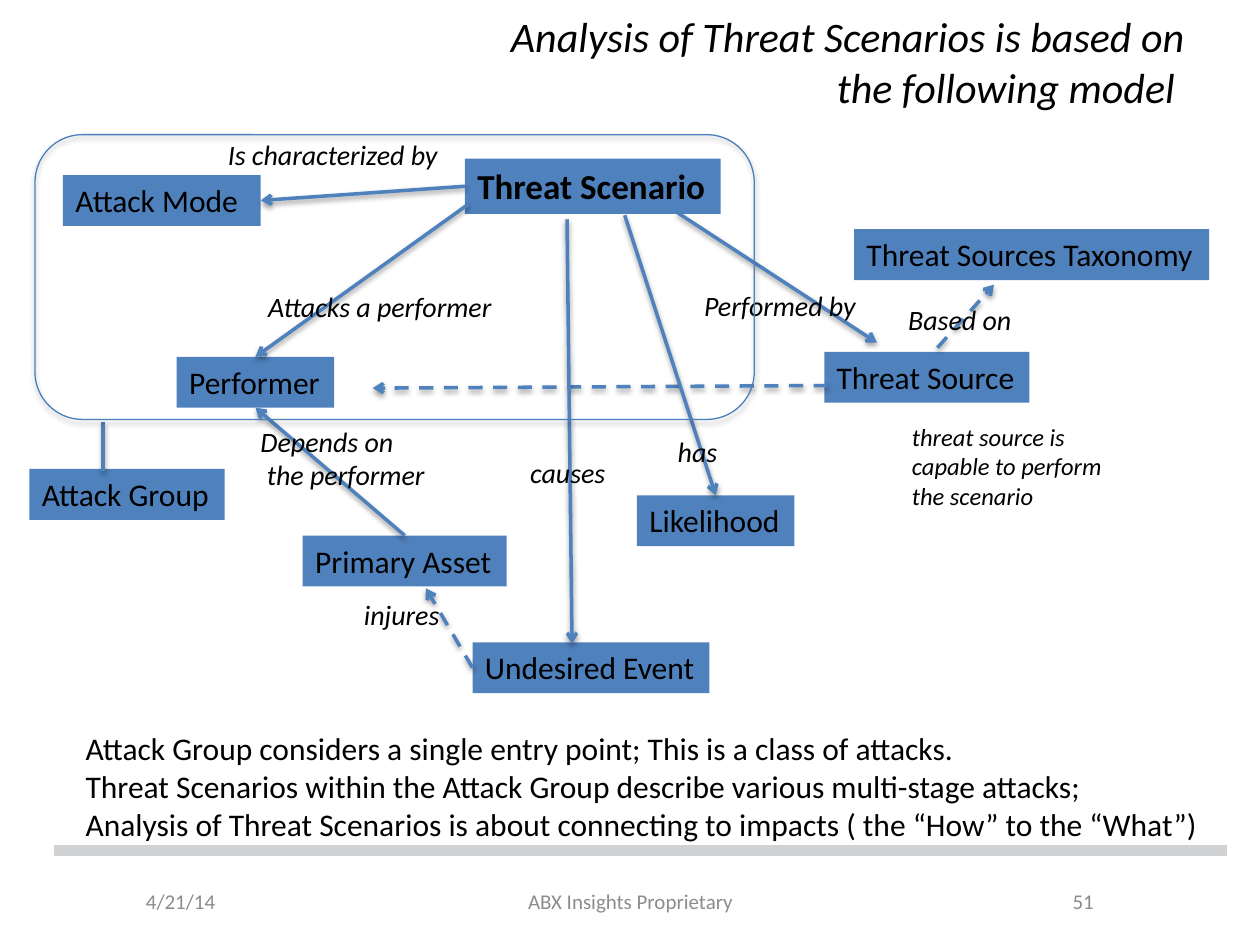
from pptx import Presentation
from pptx.dml.color import RGBColor
from pptx.enum.dml import MSO_LINE
from pptx.enum.shapes import MSO_CONNECTOR, MSO_SHAPE
from pptx.enum.text import MSO_ANCHOR, MSO_AUTO_SIZE, PP_ALIGN
from pptx.oxml.xmlchemy import OxmlElement
from pptx.util import Pt

LEFT, CENTER, RIGHT = PP_ALIGN.LEFT, PP_ALIGN.CENTER, PP_ALIGN.RIGHT
TOP, MIDDLE = MSO_ANCHOR.TOP, MSO_ANCHOR.MIDDLE
STRAIGHT, DASH = MSO_CONNECTOR.STRAIGHT, MSO_LINE.DASH
FONT = "Calibri"
COLORS = {name: RGBColor.from_string(value) for name, value in {
    "text": "000000", "footer": "8C8C8C", "rule": "D1D2D3",
    "blue": "4F81BD", "outline": "4B7EBC",
}.items()}


def write(shape, text, size=18, color="text", bold=False, italic=False,
          align=LEFT, anchor=TOP, wrap=False, fit=True):
    """Fill the shape with one paragraph per line of text."""
    frame = shape.text_frame
    frame.text = text
    frame.word_wrap = wrap
    frame.auto_size = MSO_AUTO_SIZE.SHAPE_TO_FIT_TEXT if fit else MSO_AUTO_SIZE.NONE
    frame.vertical_anchor = anchor
    for paragraph in frame.paragraphs:
        paragraph.alignment = align
        for span in paragraph.runs:
            span.font.name = FONT
            span.font.size = Pt(size)
            span.font.bold = bold
            span.font.italic = italic
            span.font.color.rgb = COLORS[color]


def set_shadow(shape, opacity=0, distance=1.6):
    """Replace the theme shadow by a downward one, or by none."""
    effects = OxmlElement("a:effectLst")
    if opacity:
        shadow = OxmlElement("a:outerShdw")
        shadow.set("blurRad", str(Pt(3.1)))
        shadow.set("dist", str(Pt(distance)))
        shadow.set("dir", "5400000")
        shadow.set("rotWithShape", "0")
        color = OxmlElement("a:srgbClr")
        color.set("val", str(COLORS["text"]))
        alpha = OxmlElement("a:alpha")
        alpha.set("val", str(opacity * 1000))
        color.append(alpha)
        shadow.append(color)
        effects.append(shadow)
    shape._element.spPr.append(effects)


deck = Presentation()
deck.slide_width, deck.slide_height = Pt(720), Pt(540)
page = deck.slides.add_slide(deck.slide_layouts[5])
shapes = page.shapes

# Footer
for text, left, width, align in [
    ("4/21/14", 76.3, 127.5, LEFT),
    ("51", 516.2, 116, RIGHT),
    ("ABX Insights Proprietary", 246.2, 228.3, CENTER),
]:
    box = shapes.add_textbox(Pt(left), Pt(500.4), Pt(width), Pt(28.8))
    write(box, text, size=12, color="footer", align=align, anchor=MIDDLE,
          wrap=True, fit=False)

rule = shapes.add_connector(STRAIGHT, Pt(31), Pt(486), Pt(701.3), Pt(486))
rule.line.color.rgb = COLORS["rule"]
rule.line.width = Pt(6)
set_shadow(rule)

title = shapes.title
title.left, title.top, title.width, title.height = Pt(36), Pt(15.1), Pt(648), Pt(39.6)
write(title, "Analysis of Threat Scenarios is based on\n the following model ",
      size=24, italic=True, align=RIGHT, anchor=MIDDLE, wrap=True, fit=False)

# Concepts of the model
concepts = {}
for name, left, top, width in [
    ("Threat Scenario", 265.7, 90.7, 146.2),
    ("Performer", 101, 203.9, 90),
    ("Undesired Event", 270, 367, 135.4),
    ("Threat Source", 471, 201, 117.2),
    ("Threat Sources Taxonomy", 488, 131, 203),
    ("Primary Asset", 173, 306, 116.6),
    ("Likelihood", 364, 283, 90),
    ("Attack Mode", 36, 100, 113),
    ("Attack Group", 16.8, 268, 111.6),
]:
    main = name == "Threat Scenario"
    box = shapes.add_shape(MSO_SHAPE.RECTANGLE, Pt(left), Pt(top), Pt(width),
                           Pt(31.5 if main else 29.1))
    box.shadow.inherit = False
    box.fill.solid()
    box.fill.fore_color.rgb = COLORS["blue"]
    box.line.fill.background()
    write(box, name, size=20 if main else 18, bold=main, wrap=name == "Attack Mode")
    concepts[name] = box

# Relations: an end is a point or a (concept, side) pair
for start, end, dashed, arrow in [
    ((267.8, 116.6), ("Performer", 0), False, True),
    ((387.4, 121.7), (501.1, 195.8), False, True),
    ((473, 220.3), (213, 221.8), True, True),
    ((535.7, 198.7), (568, 162.7), True, True),
    ((324, 125.3), (326.9, 367.9), False, True),
    ((357, 123), ("Likelihood", 0), False, True),
    (("Primary Asset", 0), ("Performer", 2), False, True),
    (("Undesired Event", 1), (243.4, 336.2), True, True),
    (("Threat Scenario", 1), ("Attack Mode", 3), False, True),
    ((59, 241.2), (59, 269.3), False, False),
]:
    points = [(0, 0) if end_point[0] in concepts else end_point
              for end_point in (start, end)]
    relation = shapes.add_connector(STRAIGHT, *(Pt(n) for point in points for n in point))
    if start[0] in concepts:
        relation.begin_connect(concepts[start[0]], start[1])
    if end[0] in concepts:
        relation.end_connect(concepts[end[0]], end[1])
    relation.line.color.rgb = COLORS["blue"]
    relation.line.width = Pt(2)
    if dashed:
        relation.line.dash_style = DASH
    if arrow:
        head = OxmlElement("a:tailEnd")
        head.set("type", "arrow")
        relation.line._get_or_add_ln().append(head)
    set_shadow(relation, opacity=38)

# Relation names
for text, left, top, width, height, size, wrap in [
    ("Attacks a performer", 146.2, 162, 148.3, 26.6, 16, False),
    ("Performed by", 395.3, 161.3, 105.8, 26.6, 16, False),
    ("Based on", 511.9, 169.2, 77.8, 26.6, 16, False),
    ("has", 380.2, 244.8, 41, 26.6, 16, False),
    ("causes", 295.9, 257, 61.9, 26.6, 16, False),
    ("Depends on\n the performer", 141.8, 239, 113, 46, 16, False),
    ("threat source is\ncapable to perform\nthe scenario", 514, 237.6, 126.7, 58.3, 14, True),
    ("injures", 200.9, 337.7, 61.9, 26.6, 16, False),
    ("Is characterized by", 123.1, 74.9, 146.2, 26.6, 16, True),
]:
    box = shapes.add_textbox(Pt(left), Pt(top), Pt(width), Pt(height))
    write(box, text, size=size, italic=True, wrap=wrap)

# Frame of the attack group
group = shapes.add_shape(MSO_SHAPE.ROUNDED_RECTANGLE, Pt(20), Pt(77), Pt(411), Pt(162.7))
group.fill.background()
group.line.color.rgb = COLORS["outline"]
group.line.width = Pt(0.75)
set_shadow(group, opacity=35, distance=1.8)

summary = shapes.add_textbox(Pt(41.8), Pt(413.3), Pt(656.6), Pt(72.7))
write(summary, "Attack Group considers a single entry point; This is a class of attacks.\n"
      "Threat Scenarios within the Attack Group describe various multi-stage attacks;\n"
      "Analysis of Threat Scenarios is about connecting to impacts "
      "( the “How” to the “What”)")

deck.save("out.pptx")
